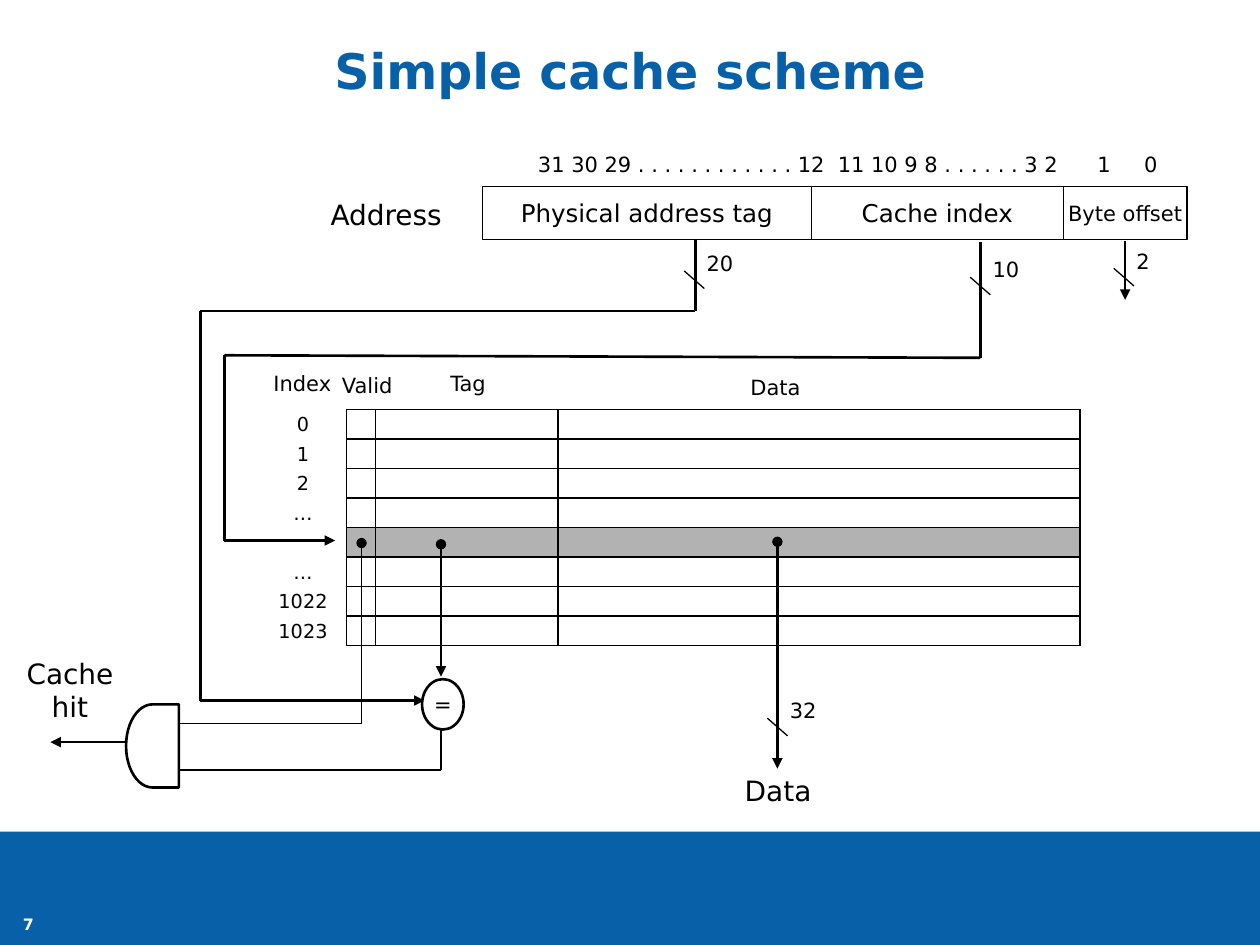
import dataclasses
import itertools

import pptx
import pptx.dml.color
import pptx.enum.shapes
import pptx.enum.text
import pptx.oxml.ns
import pptx.util
from lxml import etree
from pptx.util import Inches

COLORS = {"blue": "0860A8", "white": "FFFFFF", "black": "000000", "grey": "B2B2B2"}
FONT = "DejaVu Sans"
THIN, MEDIUM, THICK = 0.75, 1, 1.5
SHAPES = pptx.enum.shapes.MSO_SHAPE
ALIGN = pptx.enum.text.PP_ALIGN
MIDDLE = pptx.enum.text.MSO_ANCHOR.MIDDLE
GROW = pptx.enum.text.MSO_AUTO_SIZE.SHAPE_TO_FIT_TEXT


@dataclasses.dataclass
class Box:
    """A region of the slide, in inches."""
    left: float
    top: float
    width: float
    height: float

    def place(self, x, y, width, height):
        return (Inches(self.left + x), Inches(self.top + y), Inches(width), Inches(height))


def rgb(name):
    return pptx.dml.color.RGBColor.from_string(COLORS[name])


def sub(parent, tag, **attributes):
    return etree.SubElement(parent, pptx.oxml.ns.qn(tag), **attributes)


def write(frame, text, size, color="black", bold=False, align=ALIGN.CENTER):
    paragraph = frame.paragraphs[0]
    paragraph.alignment = align
    run = paragraph.add_run()
    run.text = text
    run.font.name, run.font.size, run.font.bold = FONT, pptx.util.Pt(size), bold
    run.font.color.rgb = rgb(color)
    return paragraph


def set_margins(frame, left, top, right, bottom):
    frame.margin_left, frame.margin_top = Inches(left), Inches(top)
    frame.margin_right, frame.margin_bottom = Inches(right), Inches(bottom)


def label(slide, place, text, size=12, align=ALIGN.CENTER):
    frame = slide.shapes.add_textbox(*place).text_frame
    frame.word_wrap, frame.auto_size = True, GROW
    write(frame, text, size, align=align)
    return frame


def block(slide, kind, place, fill="white", line=None, text=None, size=12):
    shape = slide.shapes.add_shape(kind, *place)
    shape.shadow.inherit = False
    shape.fill.solid()
    shape.fill.fore_color.rgb = rgb(fill)
    if line:
        shape.line.color.rgb = rgb("black")
        shape.line.width = pptx.util.Pt(line)
    else:
        shape.line.fill.background()
    if text:
        shape.text_frame.word_wrap = False
        shape.text_frame.vertical_anchor = MIDDLE
        write(shape.text_frame, text, size)
    return shape


def wire(slide, box, points, width=THICK, head=None, tail=None):
    """Join the points by straight lines, with optional ends on the first and last."""
    segments = list(itertools.pairwise(points))
    for number, ((x1, y1), (x2, y2)) in enumerate(segments):
        line = slide.shapes.add_connector(
            pptx.enum.shapes.MSO_CONNECTOR.STRAIGHT,
            Inches(box.left + x1), Inches(box.top + y1),
            Inches(box.left + x2), Inches(box.top + y2))
        line.line.color.rgb = rgb("black")
        line.line.width = pptx.util.Pt(width)
        ends = line.line._get_or_add_ln()
        if head and number == 0:
            sub(ends, "a:headEnd", type=head)
        if tail and number == len(segments) - 1:
            sub(ends, "a:tailEnd", type=tail)
        sub(line._element.spPr, "a:effectLst")


def bus_width(slide, box, x, y, bits):
    wire(slide, box, [(x, y), (x + 0.16, y + 0.14)], THIN)
    label(slide, box.place(x + 0.08, y - 0.21, 0.43, 0.3), bits, align=ALIGN.LEFT)


def add_title(slide, box):
    title = slide.shapes.title
    title.left, title.top, title.width, title.height = box.place(0, 0, box.width, box.height)
    title.text_frame.vertical_anchor = MIDDLE
    paragraph = write(title.text_frame, "Simple cache scheme", 28, "blue", bold=True)
    paragraph.line_spacing = 0.9


def add_footer(slide, box, number):
    block(slide, SHAPES.RECTANGLE, box.place(0, 0, box.width, box.height), "blue")
    frame = slide.shapes.add_textbox(*box.place(0, 0.57, 0.45, 0.33)).text_frame
    frame.word_wrap, frame.vertical_anchor = True, MIDDLE
    set_margins(frame, 0, 0, 0, 0)
    write(frame, number, 9, "white", bold=True)


def add_address(slide, box):
    label(slide, box.place(0, 0.37, 1.23, 0.37), "Address", 16)
    # Bit numbers, one tab stop for each group
    bits = label(slide, box.place(1.82, 0, 5.1, 0.3), "", align=ALIGN.LEFT)
    set_margins(bits, 0, 0.05, 0, 0.05)
    tabs = sub(bits.paragraphs[0]._p.get_or_add_pPr(), "a:tabLst")
    for stop in (2.38, 4.44, 4.81):
        sub(tabs, "a:tab", pos=str(Inches(stop)), algn="l")
    write(bits, "31 30 29 . . . . . . . . . . . . 12\t11 10 9 8 . . . . . . 3 2\t1\t0", 12,
          align=ALIGN.LEFT)
    # Address fields
    x = 1.38
    for field, width, size in (("Physical address tag", 2.61, 14),
                               ("Cache index", 2, 14), ("Byte offset", 0.98, 12)):
        block(slide, SHAPES.RECTANGLE, box.place(x, 0.33, width, 0.42), "white", THIN, field, size)
        x += width
    # Byte offset output
    wire(slide, box, [(6.48, 0.76), (6.48, 1.23)], tail="triangle")
    bus_width(slide, box, 6.39, 0.98, "2")


def set_borders(cell, colors):
    properties = cell._tc.get_or_add_tcPr()
    for side, color in zip("LRTB", colors):
        border = sub(properties, f"a:ln{side}", w=str(pptx.util.Pt(MEDIUM)))
        sub(sub(border, "a:solidFill"), "a:srgbClr", val=COLORS[color])


def add_cache(slide, box):
    for heading, x, y, width in (("Index", 0, 0, 0.76), ("Valid", 0.56, 0.02, 0.67),
                                 ("Tag", 1.36, 0, 0.67), ("Data", 3.8, 0.03, 0.67)):
        label(slide, box.place(x, y, width, 0.3), heading)
    indexes = ["0", "1", "2", "…", "", "…", "1022", "1023"]
    selected = indexes.index("")
    widths = (0.73, 0.23, 1.45, 4.14)
    table = slide.shapes.add_table(len(indexes), len(widths),
                                   *box.place(0, 0.36, box.width, 1.87)).table
    table.first_row = table.horz_banding = False
    for column, width in zip(table.columns, widths):
        column.width = Inches(width)
    for row, index in enumerate(indexes):
        for column in range(len(widths)):
            cell = table.cell(row, column)
            set_margins(cell, 0.06, 0.04, 0.02, 0.02)
            cell.vertical_anchor = MIDDLE
            is_index = column == 0
            set_borders(cell, ("white", "black", "white", "white") if is_index else ("black",) * 4)
            if row == selected and not is_index:
                cell.fill.solid()
                cell.fill.fore_color.rgb = rgb("grey")
            else:
                cell.fill.background()
            if is_index and index:
                write(cell.text_frame, index, 11).line_spacing = 0.95
            else:
                sub(cell.text_frame.paragraphs[0]._p, "a:endParaRPr", sz="600")


def add_address_wires(slide, box):
    # Cache index selects the row
    wire(slide, box, [(6.19, 0.16), (6.19, 1.08), (0.19, 1.06), (0.19, 2.53), (1.07, 2.53)],
         tail="triangle")
    bus_width(slide, box, 6.11, 0.44, "10")
    # Physical tag goes to the comparator
    wire(slide, box, [(3.93, 0), (3.93, 0.71), (0, 0.71), (0, 3.8), (1.78, 3.8)],
         tail="triangle")
    bus_width(slide, box, 3.84, 0.39, "20")


def add_hit_logic(slide, box):
    # Comparator
    wire(slide, box, [(3.5, 0.02), (3.5, 1.07)], head="oval", tail="triangle")
    block(slide, SHAPES.OVAL, box.place(3.35, 1.09, 0.33, 0.4), "white", THICK, "=")
    # Gate inputs: valid bit and comparison
    wire(slide, box, [(1.42, 1.44), (2.87, 1.44), (2.87, 0.01)], THIN, tail="oval")
    wire(slide, box, [(3.5, 1.49), (3.5, 1.81), (1.42, 1.81)])
    # Gate and its output
    wire(slide, box, [(1.05, 1.59), (0.4, 1.59)], THIN, tail="triangle")
    gate = block(slide, SHAPES.FLOWCHART_DELAY, box.place(1, 1.29, 0.42, 0.66), "white", THICK)
    gate.rotation = 180
    label(slide, box.place(0, 0.86, 1.11, 0.64), "Cache hit", 16)


def add_data_output(slide, box):
    wire(slide, box, [(0.39, 0), (0.39, 1.8)], head="oval", tail="triangle")
    bus_width(slide, box, 0.31, 1.4, "32")
    label(slide, box.place(0, 1.79, box.width, 0.37), "Data", 16)


def main():
    deck = pptx.Presentation()
    deck.slide_width, deck.slide_height = Inches(10), Inches(7.5)
    slide = deck.slides.add_slide(deck.slide_layouts[5])
    add_footer(slide, Box(0, 6.6, 10, 0.9), "7")
    add_title(slide, Box(0.4, 0.17, 9.2, 0.83))
    add_cache(slide, Box(2.02, 2.89, 6.55, 2.23))
    add_address_wires(slide, Box(1.59, 1.76, 6.62, 3.8))
    add_hit_logic(slide, Box(0, 4.3, 3.68, 1.95))
    add_data_output(slide, Box(5.78, 4.3, 0.79, 2.16))
    add_address(slide, Box(2.45, 1.15, 6.97, 1.23))
    deck.save("out.pptx")


if __name__ == "__main__":
    main()
